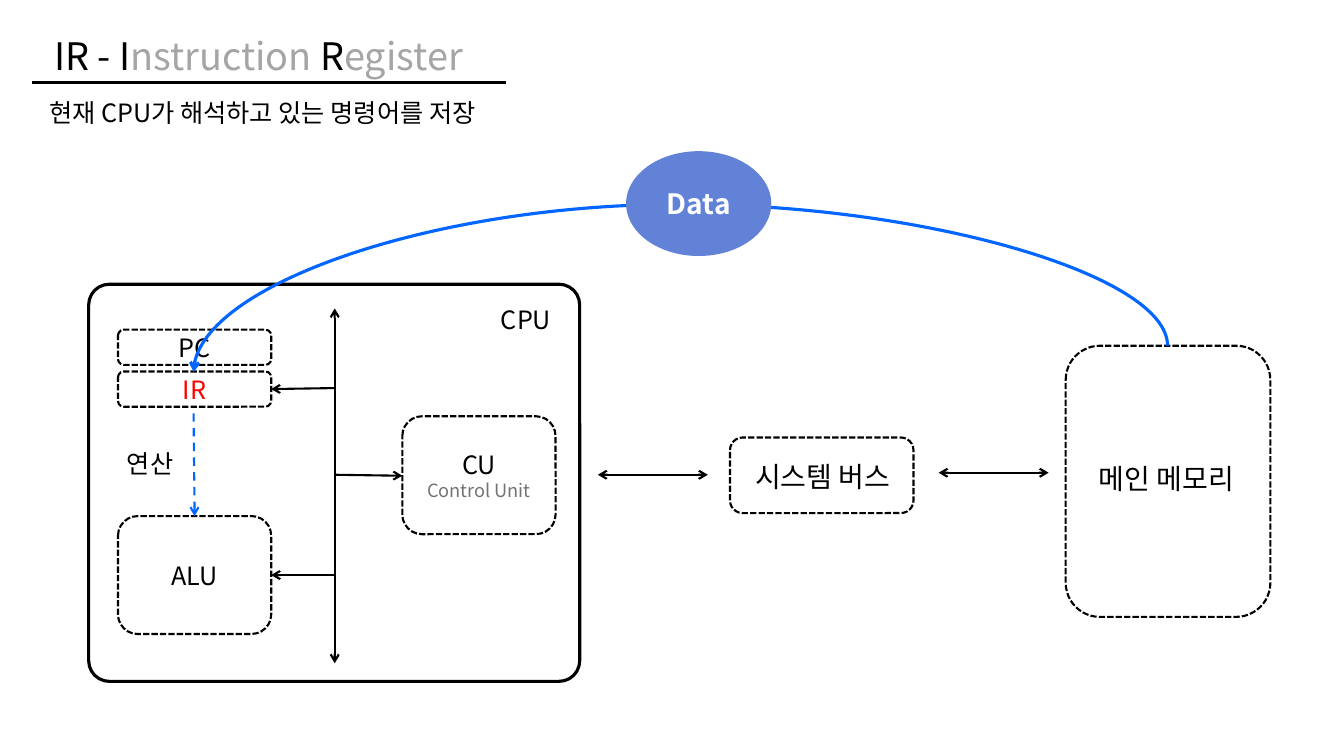
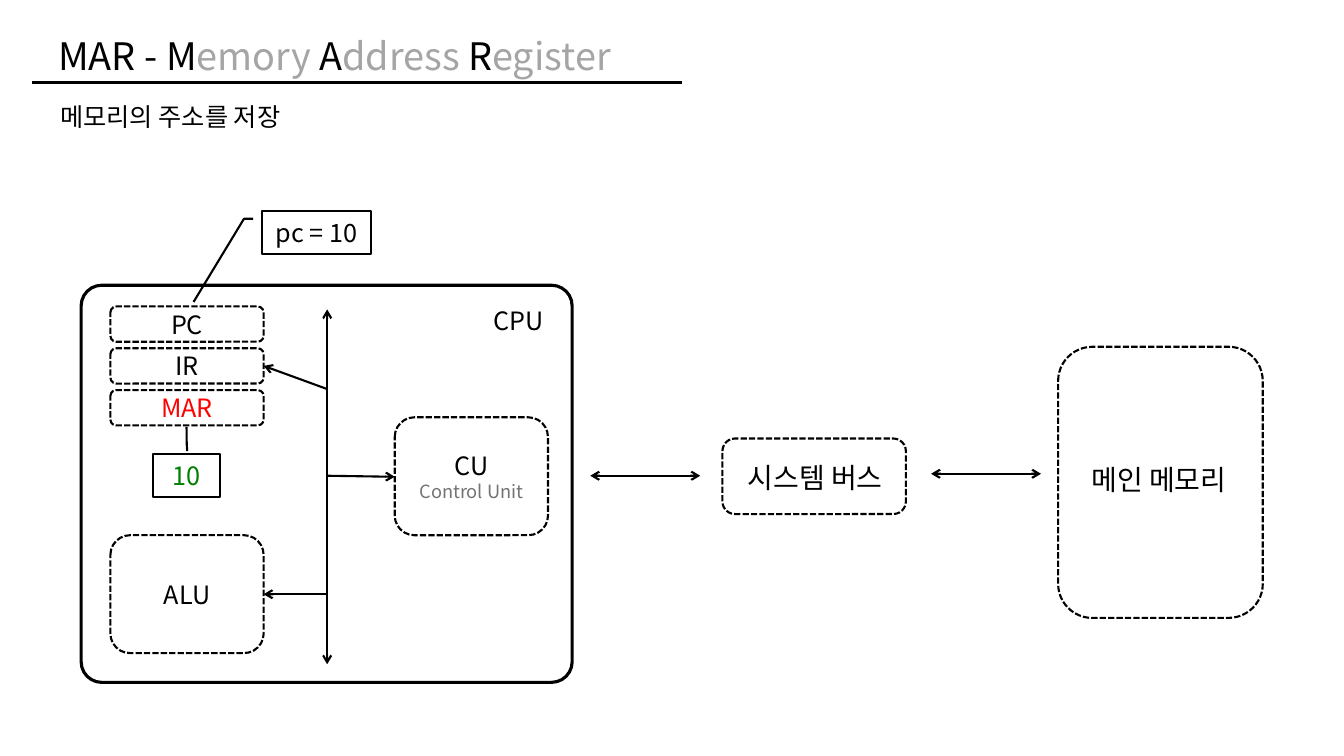
"""Build two slides that explain the IR and MAR registers inside a CPU."""
from dataclasses import dataclass

from lxml.etree import SubElement
from pptx import Presentation
from pptx.dml.color import RGBColor
from pptx.enum.dml import MSO_LINE
from pptx.enum.shapes import MSO_CONNECTOR, MSO_SHAPE
from pptx.enum.text import MSO_ANCHOR, PP_ALIGN
from pptx.oxml.ns import qn
from pptx.util import Emu, Inches, Pt

WIDTH, HEIGHT = Inches(13.33), Inches(7.5)
COLUMNS, ROWS = 133.3, 75
FONT = "Noto Sans CJK KR"
BLACK, WHITE, GREY, CAPTION = "000000", "FFFFFF", "A5A5A5", "737373"
RED, GREEN, BLUE, PERIWINKLE = "FF0000", "008000", "0066FF", "6182D6"
REGISTER_LEFT, REGISTER_WIDTH, REGISTER_HEIGHT, REGISTER_PITCH = 11.7, 15.2, 3.5, 4.15
REGISTER_RIGHT = REGISTER_LEFT + REGISTER_WIDTH
UNIT_HEIGHT = 11.7
BUS_LEFT = 33.2


@dataclass(frozen=True)
class Box:
    """An outlined or filled area, measured in grid columns and rows."""
    left: float
    top: float
    width: float
    height: float
    label: str = ""
    color: str = BLACK
    size: float = 18
    bold: bool = False
    caption: str = ""
    kind: MSO_SHAPE = MSO_SHAPE.ROUNDED_RECTANGLE
    adjustments: tuple[float, ...] = (0.167,)
    fill: str = ""
    weight: float = 1.5
    dashed: bool = True


@dataclass(frozen=True)
class Label:
    """Free text, measured in grid columns and rows."""
    text: str
    left: float
    top: float
    width: float
    height: float
    size: float = 18


@dataclass(frozen=True)
class Link:
    """A line between two grid points."""
    start: tuple[float, float]
    end: tuple[float, float]
    head: bool = False
    tail: bool = True
    color: str = BLACK
    weight: float = 1.5
    dashed: bool = False


def across(columns: float) -> Emu:
    """Turn grid columns into a length."""
    return Emu(round(WIDTH * columns / COLUMNS))


def down(rows: float) -> Emu:
    """Turn grid rows into a length."""
    return Emu(round(HEIGHT * rows / ROWS))


def rgb(code: str) -> RGBColor:
    """Turn a hex string into a colour."""
    return RGBColor.from_string(code)


def write(paragraph, text: str, *, size: float = 18, color: str = BLACK, bold: bool = False) -> None:
    """Add one formatted run to a paragraph."""
    run = paragraph.add_run()
    run.text = text
    font = run.font
    font.name, font.size, font.bold = FONT, Pt(size), bold
    font.color.rgb = rgb(color)
    SubElement(font._element, qn("a:ea")).set("typeface", FONT)


@dataclass(frozen=True)
class Canvas:
    """A slide whose contents are moved by a fixed number of columns and rows."""
    slide: object
    shift_x: float = 0
    shift_y: float = 0

    def frame(self, area: Box | Label) -> tuple[Emu, Emu, Emu, Emu]:
        """Place an area on the slide."""
        return (across(area.left + self.shift_x), down(area.top + self.shift_y),
                across(area.width), down(area.height))

    def box(self, box: Box) -> None:
        """Draw a box with its centred label."""
        shape = self.slide.shapes.add_shape(box.kind, *self.frame(box))
        shape.shadow.inherit = False
        for index, value in enumerate(box.adjustments):
            shape.adjustments[index] = value
        if box.fill:
            shape.fill.solid()
            shape.fill.fore_color.rgb = rgb(box.fill)
            shape.line.fill.background()
        else:
            shape.fill.background()
            shape.line.color.rgb = rgb(BLACK)
            shape.line.width = Pt(box.weight)
            if box.dashed:
                shape.line.dash_style = MSO_LINE.SQUARE_DOT
        if not box.label:
            return
        content = shape.text_frame
        content.word_wrap = True
        content.vertical_anchor = MSO_ANCHOR.MIDDLE
        name = content.paragraphs[0]
        name.alignment = PP_ALIGN.CENTER
        write(name, box.label, size=box.size, color=box.color, bold=box.bold)
        if box.caption:
            caption = content.add_paragraph()
            caption.alignment = PP_ALIGN.CENTER
            write(caption, box.caption, size=13, color=CAPTION)

    def label(self, label: Label, colors: tuple[str, ...] = (BLACK,)) -> None:
        """Write free text, its parts split by bars taking the colours in turn."""
        content = self.slide.shapes.add_textbox(*self.frame(label)).text_frame
        content.word_wrap = True
        for index, part in enumerate(label.text.split("|")):
            write(content.paragraphs[0], part, size=label.size, color=colors[index % len(colors)])

    def link(self, link: Link, kind: MSO_CONNECTOR = MSO_CONNECTOR.STRAIGHT):
        """Draw a line with its arrowheads."""
        (x1, y1), (x2, y2) = link.start, link.end
        connector = self.slide.shapes.add_connector(
            kind, across(x1 + self.shift_x), down(y1 + self.shift_y),
            across(x2 + self.shift_x), down(y2 + self.shift_y))
        connector.line.color.rgb = rgb(link.color)
        connector.line.width = Pt(link.weight)
        if link.dashed:
            connector.line.dash_style = MSO_LINE.DASH
        properties = connector._element.spPr
        outline = properties.find(qn("a:ln"))
        for tag, shown in (("a:headEnd", link.head), ("a:tailEnd", link.tail)):
            if shown:
                SubElement(outline, qn(tag)).set("type", "arrow")
        SubElement(properties, qn("a:effectLst"))
        return connector

    def arch(self, link: Link, bend: float) -> None:
        """Draw a curve that rises from one point and drops onto another."""
        (x1, y1), (x2, y2) = link.start, link.end
        middle_x, middle_y = (x1 + x2) / 2, (y1 + y2) / 2
        half_rise, half_span = (y2 - y1) / 2, (x1 - x2) / 2
        turned = Link((middle_x - half_rise, middle_y - half_span),
                      (middle_x + half_rise, middle_y + half_span),
                      color=link.color, weight=link.weight)
        properties = self.link(turned, MSO_CONNECTOR.CURVE)._element.spPr
        properties.find(qn("a:xfrm")).set("rot", "5400000")
        geometry = properties.find(qn("a:prstGeom"))
        for old in geometry.findall(qn("a:avLst")):
            geometry.remove(old)
        guide = SubElement(SubElement(geometry, qn("a:avLst")), qn("a:gd"))
        guide.set("name", "adj1")
        guide.set("fmla", f"val {round(bend * 100000)}")


def draw_heading(canvas: Canvas, title: Label, rule_end: float, summary: Label) -> None:
    """Draw the title, its rule and the sentence below."""
    canvas.label(title, (BLACK, GREY))
    canvas.link(Link((3.2, 8.2), (rule_end, 8.2), tail=False, weight=2.25))
    canvas.label(summary)


def draw_computer(canvas: Canvas, registers: tuple[str, ...], first_top: float, alu_top: float) -> None:
    """Draw the CPU, system bus and main memory; the last register is red."""
    canvas.box(Box(8.8, 28.2, 48.7, 39.4, adjustments=(0.052,), weight=2.25, dashed=False))
    for index, name in enumerate(registers):
        color = RED if name == registers[-1] else BLACK
        canvas.box(Box(REGISTER_LEFT, first_top + index * REGISTER_PITCH,
                       REGISTER_WIDTH, REGISTER_HEIGHT, name, color))
    ir_middle = first_top + REGISTER_PITCH + REGISTER_HEIGHT / 2
    alu_middle = alu_top + UNIT_HEIGHT / 2
    for box in (
        Box(REGISTER_LEFT, alu_top, REGISTER_WIDTH, UNIT_HEIGHT, "ALU"),
        Box(39.9, 41.3, REGISTER_WIDTH, UNIT_HEIGHT, "CU", caption="Control Unit"),
        Box(72.4, 43.4, 18.2, 7.5),
        Box(105.7, 34.3, 20.3, 26.9),
    ):
        canvas.box(box)
    for label in (
        Label("CPU", 48.7, 29.7, 7.9, 4),
        Label("시스템 버스", 73.9, 45.1, 16.5, 4.3, 20),
        Label("메인 메모리", 108, 45.3, 16.5, 4.3, 20),
    ):
        canvas.label(label)
    for link in (
        Link((BUS_LEFT, 30.6), (BUS_LEFT, 65.8), head=True),
        Link((BUS_LEFT, 38.5), (REGISTER_RIGHT, ir_middle)),
        Link((BUS_LEFT, 47.1), (39.9, 47.2)),
        Link((BUS_LEFT, alu_middle), (REGISTER_RIGHT, alu_middle)),
        Link((59.3, 47.1), (70.2, 47.1), head=True),
        Link((93.1, 46.9), (104, 46.9), head=True),
    ):
        canvas.link(link)


def draw_ir(slide) -> None:
    """Draw the instruction register slide."""
    canvas = Canvas(slide)
    draw_heading(canvas, Label("IR - I|nstruction| R|egister", 4.4, 2.8, 50.3, 5.5, 27), 50.2,
                 Label("현재 CPU가 해석하고 있는 명령어를 저장", 3.9, 9.2, 57.3, 4))
    draw_computer(canvas, ("PC", "IR"), 32.7, 51.2)
    canvas.arch(Link((115.8, 34.3), (19.2, 36.9), color=BLUE, weight=2.25), -5.4)
    canvas.box(Box(62.1, 15, 14.4, 10.4, "Data", WHITE, 20, True,
                   kind=MSO_SHAPE.OVAL, adjustments=(), fill=PERIWINKLE))
    canvas.link(Link((19.2, 41), (19.3, 51.2), color=BLUE, dashed=True))
    canvas.label(Label("연산", 11.6, 44, 7, 3.9))


def draw_mar(slide) -> None:
    """Draw the memory address register slide."""
    canvas = Canvas(slide)
    draw_heading(canvas, Label("MAR - M|emory| A|ddress| R|egister", 4.8, 2.8, 69, 5.5, 27), 67.6,
                 Label("메모리의 주소를 저장", 5, 9.6, 26.2, 4))
    draw_computer(Canvas(slide, -0.75, 0.1), ("PC", "IR", "MAR"), 30.3, 53)
    for left, top, width, value, color, leader in (
        (26, 20.9, 10.8, "pc = 10", BLACK, (0.188, -0.083, 0.188, -0.167, 2.108, -0.63)),
        (15.2, 45, 6.6, "10", GREEN, (-0.058, 0.511, -0.222, 0.504, -0.616, 0.501)),
    ):
        canvas.box(Box(left, top, width, 4.3, value, color, kind=MSO_SHAPE.LINE_CALLOUT_2,
                       adjustments=leader, dashed=False))


def main() -> None:
    """Build and save the presentation."""
    deck = Presentation()
    deck.slide_width, deck.slide_height = WIDTH, HEIGHT
    for draw in (draw_ir, draw_mar):
        draw(deck.slides.add_slide(deck.slide_layouts[6]))
    deck.save("out.pptx")


if __name__ == "__main__":
    main()
